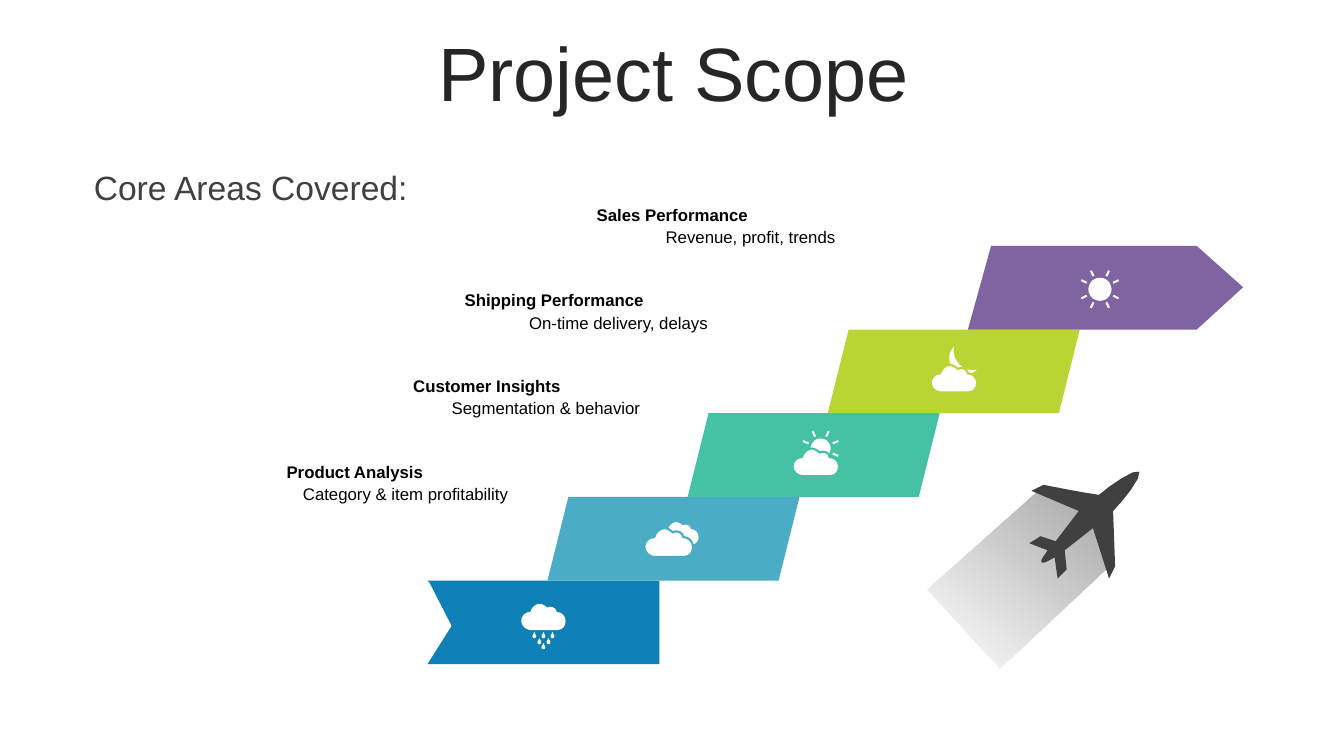
from math import cos, hypot, pi, radians, sin

from pptx import Presentation
from pptx.dml.color import RGBColor
from pptx.enum.shapes import MSO_SHAPE as SHAPE
from pptx.enum.text import MSO_ANCHOR as ANCHOR, PP_ALIGN as ALIGN
from pptx.util import Inches, Pt

WHITE = "FFFFFF"
STEP_COLORS = ["0E7FB7", "4BACC6", "45C1A4", "B9D533", "8064A2"]
STEP_W, STEP_H, STEP_DX, STEP_DY = 2.5, 0.83, 1.39, 0.83

# Outlines in inches: pairs are straight lines, sixes are Bezier curves
CLOUD = [(0.18, 0), (0.21, 0, 0.24, 0.02, 0.26, 0.04),
         (0.27, 0.03, 0.28, 0.03, 0.29, 0.03),
         (0.32, 0.03, 0.35, 0.05, 0.35, 0.08),
         (0.4, 0.08, 0.44, 0.12, 0.44, 0.17),
         (0.44, 0.22, 0.41, 0.26, 0.36, 0.26), (0.09, 0.26),
         (0.05, 0.26, 0, 0.22, 0, 0.17), (0, 0.12, 0.04, 0.08, 0.09, 0.08),
         (0.1, 0.04, 0.14, 0, 0.18, 0)]
MOON = [(0.06, 0), (0.05, 0.07, 0.07, 0.13, 0.12, 0.18),
        (0.16, 0.22, 0.22, 0.24, 0.29, 0.23),
        (0.24, 0.29, 0.09, 0.3, 0.03, 0.18), (0, 0.12, 0.01, 0.05, 0.06, 0)]
DROP = [(0, 0), (0.02, 0.04), (0.01, 0.06), (-0.01, 0.06), (-0.02, 0.04)]
PLANE = [(0.28, 1.08), (0.25, 0.87), (0.21, 0.89, 0.14, 0.94, 0.12, 0.92),
         (0.1, 0.9, 0.16, 0.84, 0.18, 0.8), (0, 0.73), (0.11, 0.66),
         (0.26, 0.71), (0.49, 0.41), (0.02, 0.21), (0.14, 0.15),
         (0.34, 0.19, 0.49, 0.22, 0.69, 0.25),
         (0.79, 0.16, 1.05, -0.02, 1.09, 0.02),
         (1.12, 0.07, 0.93, 0.31, 0.83, 0.41), (0.85, 0.96), (0.79, 1.08),
         (0.63, 0.58), (0.35, 0.8), (0.37, 0.99)]
TRAIL = [(1.64, 0.16), (1.82, 0.71), (0.72, 1.74), (0, 0.96), (1.08, 0)]
FLAG = [(0, 0), (2.3, 0), (2.3, 0.83), (0, 0.83), (0.24, 0.45), (0.02, 0.02)]
ARROW = [(0.23, 0), (2.27, 0), (2.73, 0.41), (2.27, 0.83), (0, 0.83)]


def rgb(color):
    return RGBColor.from_string(color)


def paint(shape, color):
    shape.shadow.inherit = False
    shape.fill.solid()
    shape.fill.fore_color.rgb = rgb(color)
    shape.line.fill.background()


def flatten(outline):
    points = [outline[0]]
    for segment in outline[1:]:
        if len(segment) == 2:
            points.append(segment)
            continue
        x0, y0 = points[-1]
        x1, y1, x2, y2, x3, y3 = segment
        steps = 4 if hypot(x3 - x0, y3 - y0) > 0.06 else 2
        for i in range(1, steps + 1):
            t = i / steps
            a, b, c, d = (1 - t) ** 3, 3 * t * (1 - t) ** 2, 3 * t * t * (1 - t), t ** 3
            points.append((a * x0 + b * x1 + c * x2 + d * x3,
                           a * y0 + b * y1 + c * y2 + d * y3))
    return points


def move(outline, dx, dy, scale=1):
    return [(dx + x * scale, dy + y * scale) for x, y in flatten(outline)]


def draw(slide, contours, left, top, color):
    builder = None
    for contour in contours:
        points = [(Inches(x), Inches(y)) for x, y in move(contour, left, top)]
        if builder is None:
            builder = slide.shapes.build_freeform(*points[0])
        else:
            builder.move_to(*points[0])
        builder.add_line_segments(points[1:], close=True)
    shape = builder.convert_to_shape()
    paint(shape, color)
    return shape


def add_text(slide, text, box, size, color, align=ALIGN.LEFT, bold=False):
    frame = slide.shapes.add_textbox(*map(Inches, box)).text_frame
    frame.word_wrap = True
    frame.text = text
    paragraph = frame.paragraphs[0]
    paragraph.alignment = align
    font = paragraph.runs[0].font
    font.name, font.size, font.bold = "Arial", Pt(size), bold
    font.color.rgb = rgb(color)
    return frame


# Weather icons, centred on the given point
def sun_contours(radius, angles):
    disc = [(radius * cos(i * pi / 10), radius * sin(i * pi / 10)) for i in range(20)]
    rays = []
    for angle in map(radians, angles):
        ux, uy = cos(angle), sin(angle)
        rays.append([(ux * r - uy * w, uy * r + ux * w) for r, w in
                     [(radius + 0.03, -0.01), (radius + 0.09, -0.01),
                      (radius + 0.09, 0.01), (radius + 0.03, 0.01)]])
    return [disc] + rays


def front_cloud(slide, left, top, band, scale=1):
    # The line in the band's colour parts the cloud from what is behind it
    cloud = move(CLOUD, -0.01, -0.01, scale + 0.05)
    shape = draw(slide, [cloud], left, top, WHITE)
    shape.line.color.rgb = rgb(band)
    shape.line.width = Pt(1.5)


def rain_icon(slide, x, y, band):
    drops = [(0, 0.39), (0.05, 0.34), (-0.04, 0.34),
             (-0.09, 0.28), (0.09, 0.28), (0, 0.28)]
    contours = [move(CLOUD, -0.22, 0)] + [move(DROP, *drop) for drop in drops]
    draw(slide, contours, x, y - 0.19, WHITE)


def cloudy_icon(slide, x, y, band):
    draw(slide, [move(CLOUD, 0, 0, 0.86)], x - 0.12, y - 0.17, WHITE)
    front_cloud(slide, x - 0.27, y - 0.1, band, 1.05)


def sunny_cloud_icon(slide, x, y, band):
    draw(slide, sun_contours(0.1, [-157, -115, -65, -23, 23]), x + 0.07, y - 0.05, WHITE)
    front_cloud(slide, x - 0.2, y - 0.04, band)


def moon_icon(slide, x, y, band):
    draw(slide, [MOON], x - 0.06, y - 0.23, WHITE)
    front_cloud(slide, x - 0.22, y - 0.04, band)


def sun_icon(slide, x, y, band):
    angles = [base + turn for base in range(0, 360, 90) for turn in (26, 64)]
    draw(slide, sun_contours(0.115, angles), x, y, WHITE)


def staircase(slide, left, top):
    icons = [(rain_icon, 1.15, 0.42), (cloudy_icon, 1.24, 0.42),
             (sunny_cloud_icon, 1.25, 0.4), (moon_icon, 1.25, 0.4),
             (sun_icon, 1.31, 0.43)]
    last = len(STEP_COLORS) - 1
    for i, (color, (icon, icon_x, icon_y)) in enumerate(zip(STEP_COLORS, icons)):
        # The leaning steps start a little to the left of the flag's rhythm
        x = left + (i * STEP_DX - 0.2 if i else 0)
        y = top + (last - i) * STEP_DY
        if i == 0:
            draw(slide, [FLAG], x, y, color)
        elif i == last:
            draw(slide, [ARROW], x, y, color)
        else:
            paint(slide.shapes.add_shape(SHAPE.PARALLELOGRAM, *map(
                Inches, (x, y, STEP_W, STEP_H))), color)
        icon(slide, x + icon_x, y + icon_y, color)


def area_labels(slide, left, top):
    areas = [("Sales Performance", ALIGN.LEFT, "Revenue, profit, trends", ALIGN.CENTER),
             ("Shipping Performance", ALIGN.LEFT, "On-time delivery, delays", ALIGN.CENTER),
             ("Customer Insights", ALIGN.CENTER, "Segmentation & behavior", ALIGN.RIGHT),
             ("Product Analysis", ALIGN.CENTER, "Category & item profitability", ALIGN.RIGHT)]
    for i, (area, area_align, detail, detail_align) in enumerate(areas):
        x, y = left - 1.31 * i, top + 0.85 * i
        add_text(slide, detail, (x, y + 0.22, 3.25, 0.3), 12, "000000", detail_align)
        add_text(slide, area, (x, y, 3.26, 0.3), 12, "000000", area_align, True)


def airplane(slide, left, top):
    trail = draw(slide, [TRAIL], left, top + 0.23, WHITE)
    trail.fill.gradient()
    trail.fill.gradient_angle = 50
    for stop, color in zip(trail.fill.gradient_stops, (WHITE, "A6A6A6")):
        stop.color.rgb = rgb(color)
    draw(slide, [PLANE], left + 1.01, top, "404040")


def headings(slide, left, top, width):
    title = add_text(slide, "Project Scope", (left, top, width, 0.79), 54, "262626", ALIGN.CENTER)
    title.vertical_anchor = ANCHOR.MIDDLE
    title.paragraphs[0].line_spacing = 0.9
    title.paragraphs[0].space_before = Pt(10)
    subtitle = add_text(slide, "Core Areas Covered:", (left + 0.54, top + 1.29, 3.7, 0.4), 24, "404040")
    subtitle.vertical_anchor = ANCHOR.MIDDLE
    subtitle.margin_left = subtitle.margin_right = Inches(0.04)
    subtitle.margin_top = subtitle.margin_bottom = 0


def main():
    deck = Presentation()
    deck.slide_width, deck.slide_height = Inches(13.33), Inches(7.5)
    slide = deck.slides.add_slide(deck.slide_layouts[6])
    headings(slide, 0.35, 0.37, 12.66)
    staircase(slide, 4.24, 2.44)
    area_labels(slide, 5.82, 1.98)
    airplane(slide, 9.2, 4.66)
    deck.save("out.pptx")


if __name__ == "__main__":
    main()
